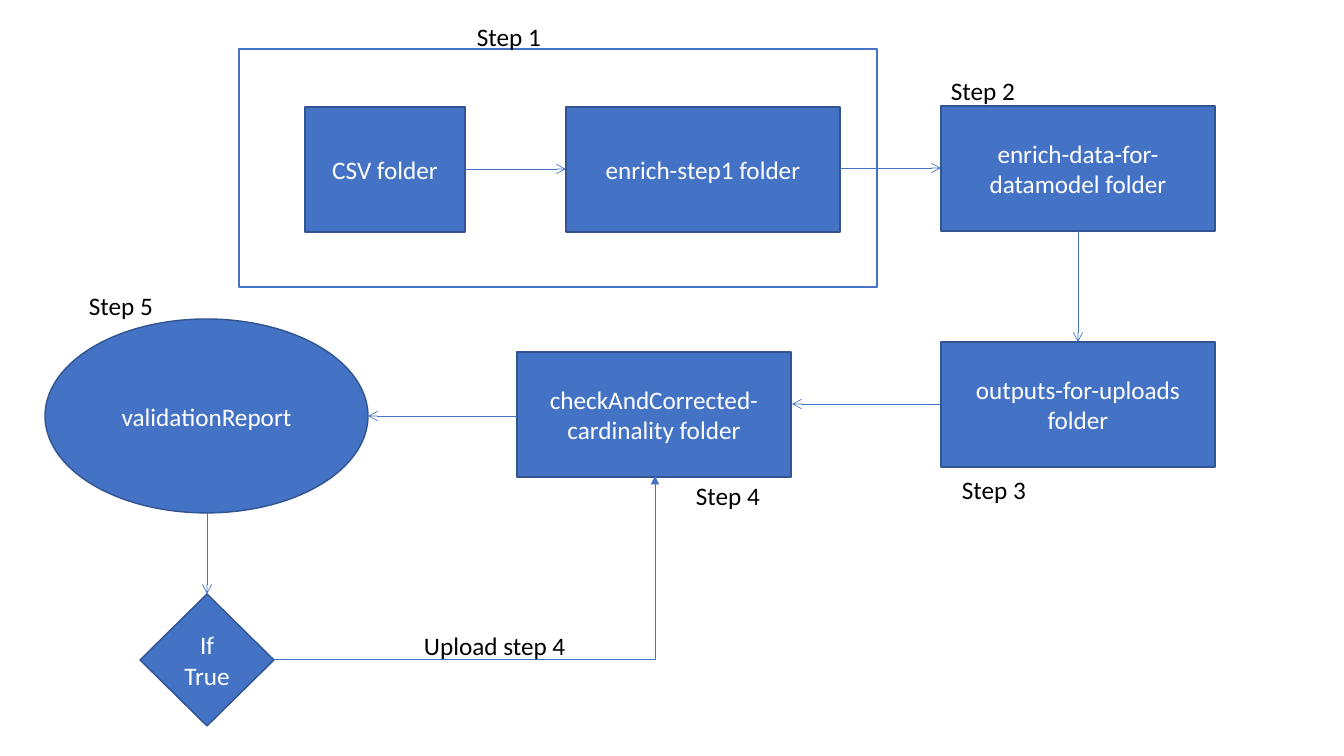
from dataclasses import dataclass
from lxml import etree
from pptx import Presentation
from pptx.dml.color import RGBColor
from pptx.enum.shapes import MSO_CONNECTOR, MSO_SHAPE
from pptx.enum.text import MSO_ANCHOR, MSO_AUTO_SIZE, PP_ALIGN
from pptx.oxml.ns import qn
from pptx.util import Pt

RECT = MSO_SHAPE.RECTANGLE
OVAL = MSO_SHAPE.OVAL
DECISION = MSO_SHAPE.FLOWCHART_DECISION
STRAIGHT = MSO_CONNECTOR.STRAIGHT
ELBOW = MSO_CONNECTOR.ELBOW
CENTER = PP_ALIGN.CENTER
LEFT = PP_ALIGN.LEFT
MIDDLE = MSO_ANCHOR.MIDDLE
FIT_SHAPE = MSO_AUTO_SIZE.SHAPE_TO_FIT_TEXT
SCALE = 914400 / 100.8


@dataclass(frozen=True)
class Theme:
    font: str = "Calibri"
    size: float = 18
    blue: str = "4472C4"
    edge: str = "325491"
    white: str = "FFFFFF"
    black: str = "000000"
    outline: float = 1
    arrow: float = 0.5


def px(*values):
    return [round(v * SCALE) for v in values]


class Diagram:
    def __init__(self, slide, theme):
        self.slide = slide
        self.theme = theme

    def line(self, line, color, width):
        line.color.rgb = RGBColor.from_string(color)
        line.width = Pt(width)

    def text(self, tf, text, color, align):
        p = tf.paragraphs[0]
        p.alignment = align
        r = p.add_run()
        r.text = text
        r.font.name = self.theme.font
        r.font.size = Pt(self.theme.size)
        r.font.color.rgb = RGBColor.from_string(color)

    def node(self, kind, text, x, y, w, h):
        sp = self.slide.shapes.add_shape(kind, *px(x, y, w, h))
        sp.shadow.inherit = False
        sp.fill.solid()
        sp.fill.fore_color.rgb = RGBColor.from_string(self.theme.blue)
        self.line(sp.line, self.theme.edge, self.theme.outline)
        tf = sp.text_frame
        tf.word_wrap = True
        tf.vertical_anchor = MIDDLE
        self.text(tf, text, self.theme.white, CENTER)

    def frame(self, x, y, w, h):
        sp = self.slide.shapes.add_shape(RECT, *px(x, y, w, h))
        sp.shadow.inherit = False
        sp.fill.background()
        self.line(sp.line, self.theme.blue, self.theme.outline)

    def label(self, text, x, y, w=85, h=71, wrap=False):
        tf = self.slide.shapes.add_textbox(*px(x, y, w, h)).text_frame
        tf.word_wrap = wrap
        tf.auto_size = FIT_SHAPE
        self.text(tf, text, self.theme.black, LEFT)

    def arrow(self, x1, y1, x2, y2, kind=STRAIGHT, head="arrow"):
        cxn = self.slide.shapes.add_connector(kind, *px(x1, y1, x2, y2))
        self.line(cxn.line, self.theme.blue, self.theme.arrow)
        etree.SubElement(cxn.line._get_or_add_ln(), qn("a:tailEnd"), type=head)
        spPr = cxn._element.spPr
        etree.SubElement(spPr, qn("a:effectLst"))
        if kind == ELBOW:
            spPr.find(qn("a:prstGeom")).set("prst", "bentConnector2")


prs = Presentation()
prs.slide_width, prs.slide_height = px(1344, 756)
s = Diagram(prs.slides.add_slide(prs.slide_layouts[6]), Theme())

FOLDER_W, FOLDER_H = 274, 125
FOLDERS = [
    ("enrich-step1 folder", 566, 107),
    ("enrich-data-for-datamodel folder", 941, 106),
    ("outputs-for-uploads folder", 941, 342),
    ("checkAndCorrected-cardinality folder", 517, 352),
]
ARROWS = [
    (465, 169, 566, 169),
    (840, 168, 941, 168),
    (1078, 231, 1078, 342),
    (941, 404, 792, 404),
    (517, 416, 368, 416),
    (207, 513, 207, 594),
]
STEPS = [(467, 16), (941, 70), (952, 469), (686, 475), (79, 285)]

s.node(RECT, "CSV folder", 305, 107, 160, FOLDER_H)
for name, x, y in FOLDERS:
    s.node(RECT, name, x, y, FOLDER_W, FOLDER_H)
s.node(OVAL, "validationReport", 45, 319, 323, 194)
s.node(DECISION, "If True", 140, 594, 134, 132)
s.frame(239, 49, 638, 238)

for ends in ARROWS:
    s.arrow(*ends)
s.arrow(274, 659, 655, 476, ELBOW, "triangle")

for number, (x, y) in enumerate(STEPS, 1):
    s.label(f"Step {number}", x, y)
s.label("Upload step 4", 414, 625, 221, 40, wrap=True)

prs.save("out.pptx")
